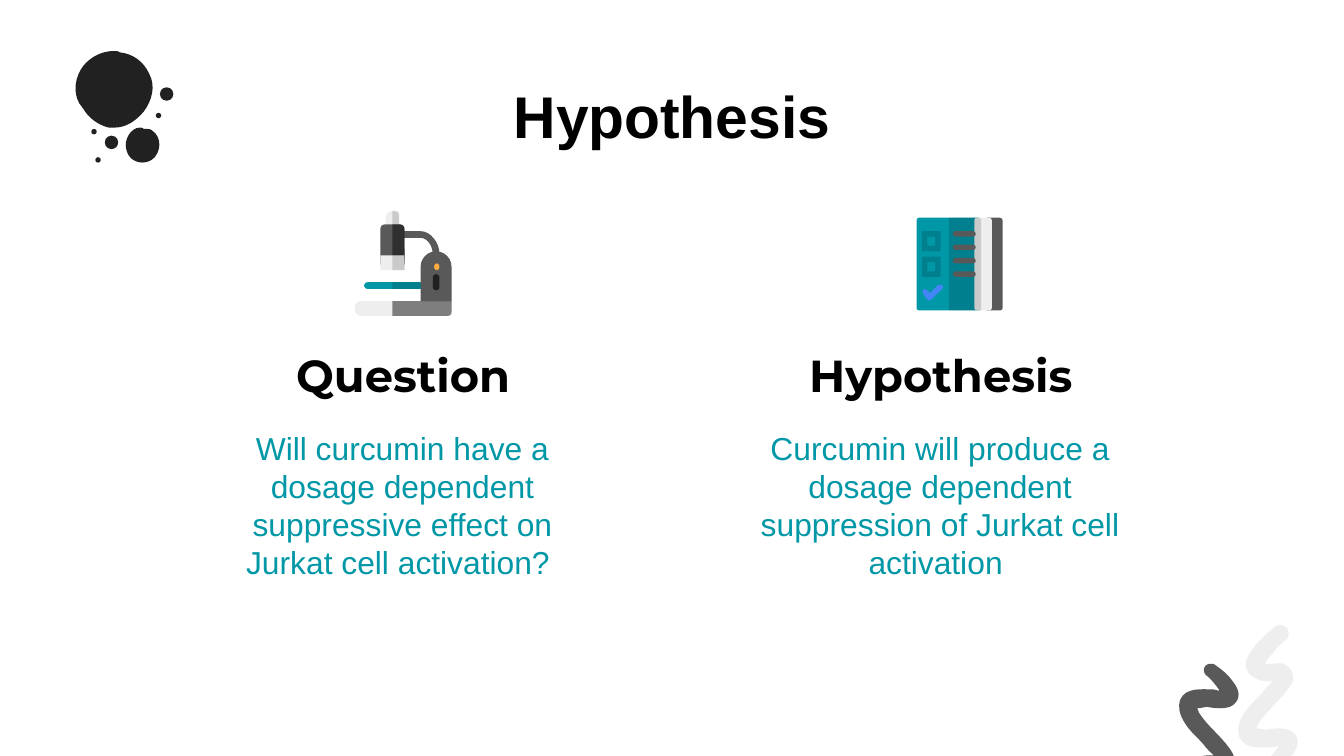
from lxml.etree import SubElement
from pptx import Presentation
from pptx.dml.color import RGBColor
from pptx.enum.shapes import MSO_SHAPE as S
from pptx.enum.text import MSO_ANCHOR, PP_ALIGN
from pptx.oxml.ns import qn
from pptx.util import Inches, Pt

BLACK, INK, GREY, PALE = "000000", "212121", "595959", "EEEEEE"
TEAL, AMBER, BLUE = "0097A7", "FFAB40", "4285F4"

TITLE = "Hypothesis"
CARDS = [
    ("Question", "Will curcumin have a dosage dependent suppressive "
                 "effect on Jurkat cell activation? "),
    ("Hypothesis", "Curcumin will produce a dosage dependent suppression "
                   "of Jurkat cell activation "),
]

# An outline is a start point, then lines (x, y) and cubic curves (six numbers).
BLOB = [(0.85, 0.38), (0.76, 0.38, 0.68, 0.42, 0.62, 0.49),
        (0.56, 0.57, 0.54, 0.68, 0.59, 0.77), (0.6, 0.78, 0.61, 0.8, 0.62, 0.81),
        (0.66, 0.88, 0.73, 0.93, 0.81, 0.95), (0.82, 0.95, 0.84, 0.95, 0.85, 0.95),
        (0.94, 0.95, 1.01, 0.9, 1.07, 0.83), (1.13, 0.75, 1.16, 0.64, 1.11, 0.55),
        (1.07, 0.46, 0.99, 0.4, 0.89, 0.39), (0.88, 0.38, 0.86, 0.38, 0.85, 0.38)]
DROP = [(1.04, 0.95), (0.97, 0.95, 0.92, 1.05, 0.94, 1.11),
        (0.95, 1.17, 1, 1.21, 1.06, 1.21), (1.09, 1.21, 1.11, 1.2, 1.13, 1.19),
        (1.2, 1.14, 1.21, 1.02, 1.13, 0.97), (1.12, 0.96, 1.1, 0.96, 1.07, 0.96),
        (1.06, 0.95, 1.05, 0.95, 1.04, 0.95)]
DOTS = [(1.16, 0.84, 0.04), (0.78, 1.01, 0.1), (0.68, 0.96, 0.04),
        (0.71, 1.17, 0.04), (1.19, 0.65, 0.1)]
SQUIGGLE = [
    (9.02, 4.94), (9.03, 4.94), (9.09, 4.98, 9.14, 5.02, 9.18, 5.08),
    (9.22, 5.13, 9.24, 5.2, 9.17, 5.25), (9.12, 5.28, 9.04, 5.27, 8.98, 5.26),
    (8.97, 5.26, 8.93, 5.27, 8.91, 5.27), (8.91, 5.28, 8.92, 5.29, 8.92, 5.3),
    (8.98, 5.4, 9.08, 5.47, 9.15, 5.57), (9.17, 5.6, 9.19, 5.63, 9.18, 5.66),
    (9.18, 5.7, 9.15, 5.73, 9.11, 5.75), (9.08, 5.76, 9.04, 5.75, 9.01, 5.75),
    (8.97, 5.75), (8.99, 5.78, 9.01, 5.81, 9.03, 5.83),
    (9.06, 5.87, 9.09, 5.9, 9.13, 5.93), (9.16, 5.95, 9.15, 6, 9.13, 6.02),
    (9.11, 6.04, 9.09, 6.04, 9.07, 6.04), (9.06, 6.03, 9.05, 6.03, 9.04, 6.02),
    (8.99, 5.98, 8.95, 5.94, 8.91, 5.9), (8.88, 5.86, 8.84, 5.81, 8.83, 5.76),
    (8.82, 5.7, 8.87, 5.65, 8.93, 5.63), (8.96, 5.62, 8.99, 5.62, 9.03, 5.62),
    (9.01, 5.6, 8.99, 5.58, 8.98, 5.57), (8.95, 5.53, 8.92, 5.5, 8.89, 5.47),
    (8.83, 5.41, 8.75, 5.31, 8.78, 5.21), (8.82, 5.11, 8.95, 5.13, 9.03, 5.13),
    (9.07, 5.14), (9.07, 5.13), (9.04, 5.09, 9.01, 5.05, 8.97, 5.02),
    (8.94, 4.98, 8.97, 4.93, 9.02, 4.94)]
ARM = [(2.98, 1.72), (2.97, 1.72, 2.96, 1.73, 2.96, 1.75),
       (2.96, 1.76, 2.97, 1.77, 2.98, 1.77), (3.13, 1.77),
       (3.18, 1.77, 3.22, 1.83, 3.22, 1.89), (3.22, 1.9, 3.23, 1.91, 3.24, 1.91),
       (3.26, 1.91, 3.27, 1.9, 3.27, 1.89), (3.27, 1.8, 3.2, 1.72, 3.13, 1.72)]
BASE = [(2.69, 2.24), (2.66, 2.24, 2.64, 2.26, 2.64, 2.29), (2.64, 2.3),
        (2.64, 2.33, 2.66, 2.35, 2.69, 2.35), (3.33, 2.35),
        (3.35, 2.35, 3.36, 2.34, 3.36, 2.32), (3.36, 2.24)]
SHADE = [(2.92, 2.24), (2.92, 2.35), *BASE[4:]]
TICK = [(7, 2.12), (6.98, 2.12), (6.92, 2.18), (6.9, 2.16),
        (6.89, 2.16, 6.89, 2.15, 6.88, 2.15), (6.86, 2.16, 6.86, 2.18, 6.87, 2.19),
        (6.9, 2.23), (6.91, 2.24, 6.92, 2.24, 6.93, 2.23), (7.01, 2.15),
        (7.02, 2.15, 7.02, 2.13, 7.01, 2.12)]

# Outline, colour, opacity % - or preset, colour, opacity %, box, corner or rim
MICRO = [
    (S.ROUND_2_SAME_RECTANGLE, PALE, 100, (2.87, 1.57, 0.1, 0.13), 0.5),
    (S.ROUND_1_RECTANGLE, BLACK, 15, (2.92, 1.57, 0.05, 0.13), 0.5),
    (S.ROUNDED_RECTANGLE, TEAL, 100, (2.71, 2.1, 0.44, 0.05), 0.5),
    (S.RECTANGLE, BLACK, 15, (2.92, 2.1, 0.23, 0.05)),
    (ARM, GREY, 100),
    (BASE, PALE, 100),
    (S.ROUND_2_SAME_RECTANGLE, GREY, 100, (2.83, 1.67, 0.18, 0.3), 0.18),
    (S.ROUND_2_SAME_RECTANGLE, GREY, 100, (3.13, 1.87, 0.23, 0.37), 0.5),
    (S.OVAL, AMBER, 100, (3.23, 1.96, 0.04, 0.05)),
    (S.ROUNDED_RECTANGLE, INK, 100, (3.22, 2.04, 0.05, 0.12), 0.5),
    (SHADE, BLACK, 47),
    (S.ROUND_1_RECTANGLE, BLACK, 47, (2.92, 1.67, 0.09, 0.27), 0.35),
    (S.RECTANGLE, PALE, 100, (2.83, 1.9, 0.18, 0.11)),
    (S.RECTANGLE, BLACK, 15, (2.92, 1.9, 0.09, 0.11)),
]
BOOK = [
    (S.ROUNDED_RECTANGLE, GREY, 100, (7.33, 1.62, 0.13, 0.69), 0.15),
    (S.ROUNDED_RECTANGLE, TEAL, 100, (6.82, 1.62, 0.48, 0.69), 0.04),
    (S.ROUNDED_RECTANGLE, PALE, 100, (7.25, 1.62, 0.13, 0.69), 0.15),
    *[(S.FRAME, BLACK, 15, (6.86, top, 0.14, 0.15), 0.29) for top in (1.72, 1.91)],
    (TICK, BLUE, 100),
    (S.ROUND_1_RECTANGLE, BLACK, 15, (7.06, 1.62, 0.24, 0.69), 0.08),
    *[(S.ROUNDED_RECTANGLE, GREY, 100, (7.09, 1.72 + 0.1 * row, 0.17, 0.04), 0.5)
      for row in range(4)],
]

deck = Presentation()
deck.slide_width = Inches(10)
deck.slide_height = deck.slide_width * 9 // 16
slide = deck.slides.add_slide(deck.slide_layouts[6])
shapes = slide.shapes


def paint(shape, color, alpha):
    shape.shadow.inherit = False
    shape.line.fill.background()
    shape.fill.solid()
    shape.fill.fore_color.rgb = RGBColor.from_string(color)
    if alpha < 100:
        tone = shape.fill._xPr.find(".//" + qn("a:srgbClr"))
        SubElement(tone, qn("a:alpha"), val=str(alpha * 1000))


def trace(path, color, alpha=100, steps=8):
    """Draw an outline, with its curves cut into short lines."""
    points = [path[0]]
    for seg in path[1:]:
        if len(seg) == 2:
            points.append(seg)
            continue
        ends = [points[-1], seg[:2], seg[2:4], seg[4:]]
        for step in range(1, steps + 1):
            t = step / steps
            u = 1 - t
            mix = (u**3, 3 * u * u * t, 3 * u * t * t, t**3)
            points.append(tuple(sum(m * p[axis] for m, p in zip(mix, ends))
                                for axis in (0, 1)))
    spots = [(Inches(x), Inches(y)) for x, y in points]
    pen = shapes.build_freeform(*spots[0])
    pen.add_line_segments(spots[1:], close=True)
    paint(pen.convert_to_shape(), color, alpha)


def block(kind, color, alpha, box, adjust=None):
    shape = shapes.add_shape(kind, *map(Inches, box))
    if adjust is not None:
        shape.adjustments[0] = adjust
    paint(shape, color, alpha)


def write(text, box, size, font, color, bold, anchor):
    frame = shapes.add_textbox(*map(Inches, box)).text_frame
    frame.word_wrap = True
    frame.vertical_anchor = anchor
    frame.margin_left = frame.margin_right = Inches(0.1)
    frame.margin_top = frame.margin_bottom = Inches(0.1)
    para = frame.paragraphs[0]
    para.text = text
    para.alignment = PP_ALIGN.CENTER
    para.font.size, para.font.name, para.font.bold = Pt(size), font, bold
    para.font.color.rgb = RGBColor.from_string(color)


def flip(seg):
    """Mirror a squiggle segment top to bottom and move it right."""
    return tuple(10.69 - v if i % 2 else v + 0.44 for i, v in enumerate(seg))


trace(BLOB, INK)
trace(DROP, INK)
for x, y, size in DOTS:
    block(S.OVAL, INK, 100, (x, y, size, size))
trace([flip(seg) for seg in SQUIGGLE], PALE)
trace(SQUIGGLE, GREY)

write(TITLE, (0.78, 0.59, 8.44, 0.63), 31.5, "Arial", BLACK, True, MSO_ANCHOR.BOTTOM)
for col, (head, body) in enumerate(CARDS):
    left = 1.41 + 4 * col
    write(head, (left, 2.31, 3.18, 0.78), 24, "Montserrat", BLACK, True,
          MSO_ANCHOR.BOTTOM)
    write(body, (left + 0.11, 3.09, 2.95, 1.8), 17, "Arial", TEAL, False,
          MSO_ANCHOR.TOP)

for part in MICRO + BOOK:
    draw = trace if isinstance(part[0], list) else block
    draw(*part)

deck.save("out.pptx")
